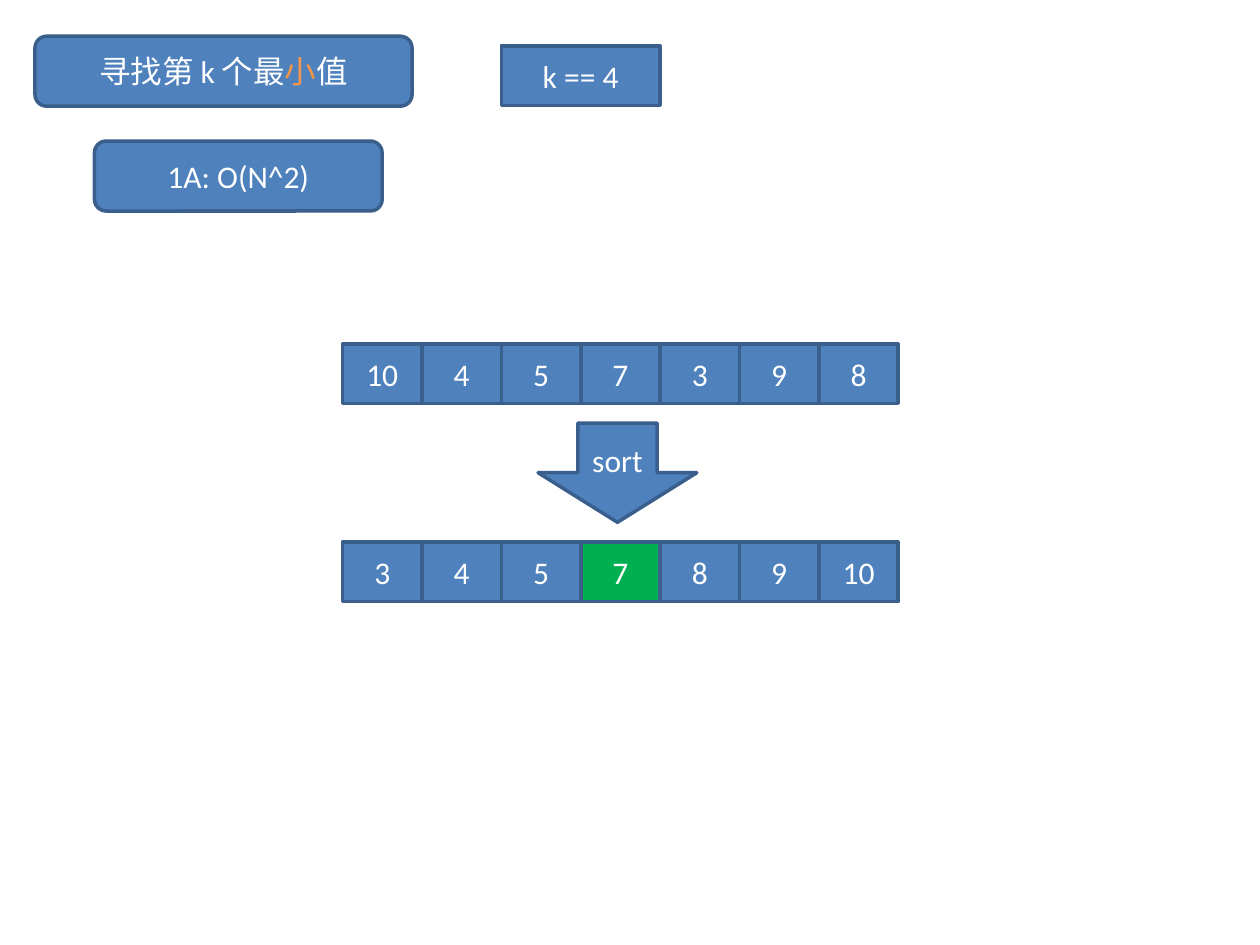
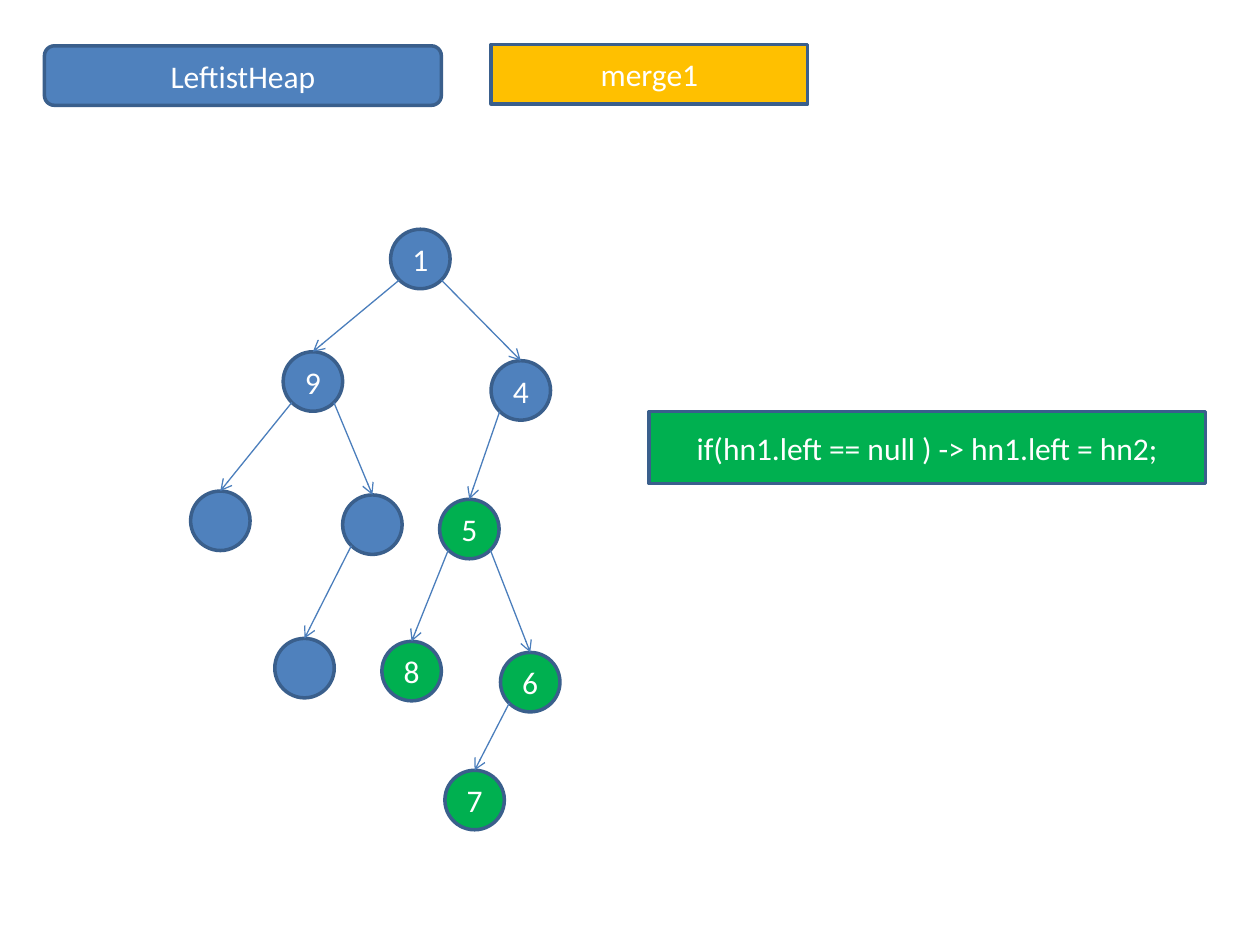
"""Build two slides on finding the k-th smallest value: sorting, and a leftist heap merge."""
from math import sqrt

from lxml.etree import SubElement
from pptx import Presentation
from pptx.dml.color import RGBColor
from pptx.enum.shapes import MSO_CONNECTOR, MSO_SHAPE
from pptx.enum.text import MSO_ANCHOR, PP_ALIGN
from pptx.oxml.ns import qn
from pptx.util import Pt

BLUE = RGBColor(0x4F, 0x81, 0xBD)
OUTLINE = RGBColor(0x3A, 0x5F, 0x8C)
EDGE = RGBColor(0x4B, 0x7E, 0xBC)
GREEN = RGBColor(0x00, 0xB0, 0x50)
AMBER = RGBColor(0xFF, 0xC0, 0x00)
ORANGE = RGBColor(0xF7, 0x96, 0x46)
WHITE = RGBColor(0xFF, 0xFF, 0xFF)

CELL_W, CELL_H = 45.36, 34
NODE = 34


def add_box(s, kind, x, y, w, h, text="", fill=BLUE, accent=""):
    """Add an outlined shape with centred text; runs equal to accent turn orange."""
    sp = s.shapes.add_shape(kind, Pt(x), Pt(y), Pt(w), Pt(h))
    sp.shadow.inherit = False
    sp.fill.solid()
    sp.fill.fore_color.rgb = fill
    sp.line.color.rgb = OUTLINE
    sp.line.width = Pt(2)
    tf = sp.text_frame
    tf.vertical_anchor = MSO_ANCHOR.MIDDLE
    p = tf.paragraphs[0]
    p.alignment = PP_ALIGN.CENTER
    before, found, after = text.partition(accent) if accent else (text, "", "")
    for part in filter(None, (before, found, after)):
        r = p.add_run()
        r.text = part
        r.font.name = "Calibri"
        r.font.size = Pt(18)
        r.font.color.rgb = ORANGE if part == accent else WHITE
    return sp


def add_edge(s, parent, child, side):
    """Draw an arrow from the lower left (-1) or lower right (1) of parent to the top of child."""
    reach = parent.width / 2 / sqrt(2)
    x = int(parent.left + parent.width / 2 + side * reach)
    y = int(parent.top + parent.height / 2 + reach)
    cx = s.shapes.add_connector(MSO_CONNECTOR.STRAIGHT, x, y, child.left, child.top)
    cx.end_connect(child, 0)
    cx.line.color.rgb = EDGE
    cx.line.width = Pt(0.75)
    SubElement(cx.line._get_or_add_ln(), qn("a:tailEnd"), type="arrow")
    SubElement(cx._element.spPr, qn("a:effectLst"))


prs = Presentation()
prs.slide_width, prs.slide_height = Pt(720), Pt(540)
blank = prs.slide_layouts[6]

s = prs.slides.add_slide(blank)
add_box(s, MSO_SHAPE.ROUNDED_RECTANGLE, 20, 20.7, 215.5, 40, "寻找第 k 个最小值", accent="小")
add_box(s, MSO_SHAPE.ROUNDED_RECTANGLE, 54, 80.6, 164.4, 40, "1A: O(N^2)")
add_box(s, MSO_SHAPE.RECTANGLE, 286.5, 26.2, 2 * CELL_W, CELL_H, "k == 4")

unsorted = [10, 4, 5, 7, 3, 9, 8]
kth = 4
for y, values, marked in ((196.5, unsorted, None), (309.8, sorted(unsorted), kth - 1)):
    for i, value in enumerate(values):
        fill = GREEN if i == marked else BLUE
        add_box(s, MSO_SHAPE.RECTANGLE, 195.8 + i * CELL_W, y, CELL_W, CELL_H, str(value), fill)
add_box(s, MSO_SHAPE.DOWN_ARROW, 307.5, 241.8, 2 * CELL_W, 56.7, "sort")

s = prs.slides.add_slide(blank)
add_box(s, MSO_SHAPE.ROUNDED_RECTANGLE, 25.4, 26.2, 226.8, CELL_H, "LeftistHeap")
add_box(s, MSO_SHAPE.RECTANGLE, 280.6, 25.4, 181, CELL_H, "merge1", AMBER)
add_box(s, MSO_SHAPE.RECTANGLE, 371, 235.2, 317.8, 41.2,
        "if(hn1.left == null ) -> hn1.left = hn2;", GREEN)

heap = {
    "root": (223.2, 131, "1", BLUE),
    "left": (161.8, 201, "9", BLUE),
    "right": (280.6, 206.1, "4", BLUE),
    "left.left": (108.9, 280.6, "", BLUE),
    "left.right": (195.8, 282.8, "", BLUE),
    "left.right.left": (157, 364.8, "", BLUE),
    "right.left": (251.2, 285.3, "5", GREEN),
    "right.left.left": (218.2, 366.5, "8", GREEN),
    "right.left.right": (286, 372.8, "6", GREEN),
    "right.left.right.left": (254.2, 440.2, "7", GREEN),
}
nodes = {name: add_box(s, MSO_SHAPE.OVAL, x, y, NODE, NODE, key, fill)
         for name, (x, y, key, fill) in heap.items()}
for name, child in nodes.items():
    if name != "root":
        parent, _, turn = name.rpartition(".")
        add_edge(s, nodes[parent or "root"], child, -1 if turn == "left" else 1)

prs.save("out.pptx")
